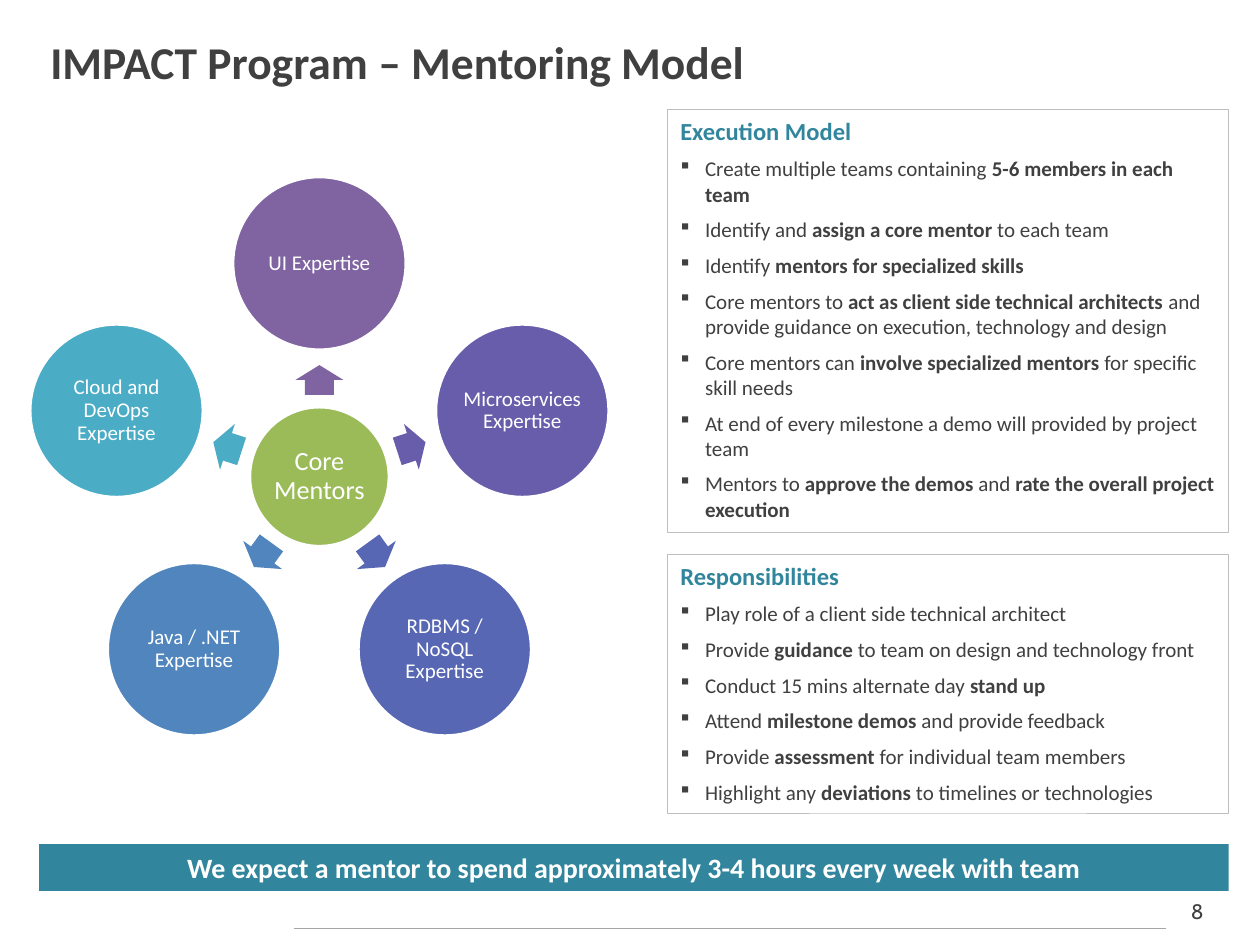
from math import cos, radians, sin

from lxml.etree import SubElement
from pptx import Presentation
from pptx.dml.color import RGBColor
from pptx.enum.shapes import MSO_CONNECTOR, MSO_SHAPE as Shape
from pptx.enum.text import MSO_ANCHOR as Anchor, MSO_AUTO_SIZE as AutoSize, PP_ALIGN as Align
from pptx.oxml.ns import qn
from pptx.util import Cm, Pt

COLORS = {
    "text": "404040", "teal": "31859C", "white": "FFFFFF", "border": "BFBFBF",
    "rule": "A6A6A6", "hub": "9BBB59",
}
SPOKES = [
    ("UI Expertise", "8064A2"),
    ("Microservices Expertise", "685DAB"),
    ("RDBMS / NoSQL Expertise", "5767B4"),
    ("Java / .NET Expertise", "5185BD"),
    ("Cloud and DevOps Expertise", "4BACC6"),
]
# Text between ** marks is bold.
PANELS = [
    ("Execution Model", 2.21, 8.51, [
        "Create multiple teams containing **5-6 members in each team**",
        "Identify and **assign a core mentor **to each team",
        "Identify **mentors for specialized skills**",
        "Core mentors to **act as client side technical architects **and provide "
        "guidance on execution, technology and design",
        "Core mentors can **involve specialized mentors **for specific skill needs",
        "At end of every milestone a demo will provided by project team",
        "Mentors to **approve the demos **and** rate the overall project execution**",
    ]),
    ("Responsibilities", 11.18, 5.21, [
        "Play role of a client side technical architect",
        "Provide **guidance** to team on design and technology front",
        "Conduct 15 mins alternate day **stand up**",
        "Attend **milestone demos **and provide feedback",
        "Provide **assessment** for individual team members",
        "Highlight any **deviations** to timelines or technologies",
    ]),
]


def style(para, size, color, bold=False, align=Align.LEFT, font="Calibri"):
    para.alignment = align
    para.font.name, para.font.size, para.font.bold = font, Pt(size), bold
    para.font.color.rgb = RGBColor.from_string(color)


def add_filled(kind, center_x, center_y, width, height, color, text="", size=12, bold=False):
    """Add a filled shape around a centre point given in centimetres."""
    shape = page.shapes.add_shape(kind, Cm(center_x - width / 2), Cm(center_y - height / 2),
                                  Cm(width), Cm(height))
    shape.shadow.inherit = False
    shape.fill.solid()
    shape.fill.fore_color.rgb = RGBColor.from_string(color)
    shape.line.fill.background()
    if text:
        frame = shape.text_frame
        frame.word_wrap = True
        frame.vertical_anchor = Anchor.MIDDLE
        frame.margin_left = frame.margin_right = frame.margin_top = frame.margin_bottom = 0
        frame.text = text
        style(frame.paragraphs[0], size, COLORS["white"], bold, Align.CENTER)
    return shape


deck = Presentation()
deck.slide_width, deck.slide_height = Cm(25.4), Cm(19.05)
page = deck.slides.add_slide(deck.slide_layouts.get_by_name("Two Content"))

# Title
title = page.shapes.title
title.left, title.top, title.width, title.height = Cm(0.76), Cm(0.43), Cm(23.77), Cm(1.6)
title.text_frame.text = "IMPACT Program – Mentoring Model"
title.text_frame.vertical_anchor = Anchor.MIDDLE
style(title.text_frame.paragraphs[0], 26, COLORS["text"], bold=True)

# Wheel of mentors
hub_x, hub_y = 6.44, 9.61
hub = add_filled(Shape.OVAL, hub_x, hub_y, 2.82, 2.82, COLORS["hub"], "Core Mentors", 15)
circles = [hub]
for index, (label, color) in enumerate(SPOKES):
    angle = index * 360 / len(SPOKES) - 90
    across, down = cos(radians(angle)), sin(radians(angle))
    arrow = add_filled(Shape.RIGHT_ARROW, hub_x + 1.95 * across, hub_y + 1.95 * down,
                       0.6, 0.97, color)
    arrow.rotation = angle % 360
    arrow.adjustments[0], arrow.adjustments[1] = 0.6, 0.5
    circles.append(add_filled(Shape.OVAL, hub_x + 4.3 * across, hub_y + 4.3 * down,
                              3.5, 3.5, color, label))
for circle in circles:
    circle.line.color.rgb = RGBColor.from_string(COLORS["white"])
    circle.line.width = Pt(2)
    circle.text_frame.paragraphs[0].line_spacing = 0.9

# Panels
for panel, (heading, top, height, items) in zip(list(page.placeholders)[1:], PANELS):
    panel.left, panel.top, panel.width, panel.height = Cm(13.46), Cm(top), Cm(11.3), Cm(height)
    panel.fill.solid()
    panel.fill.fore_color.rgb = RGBColor.from_string(COLORS["white"])
    panel.line.color.rgb = RGBColor.from_string(COLORS["border"])
    panel.line.width = Pt(0.25)
    frame = panel.text_frame
    frame.auto_size = AutoSize.NONE
    frame.vertical_anchor = Anchor.TOP
    for index, item in enumerate([heading] + items):
        para = frame.paragraphs[0] if index == 0 else frame.add_paragraph()
        para.space_before = Pt(6)
        properties = para._p.get_or_add_pPr()
        indent = Cm(0.5) if index else 0
        properties.set("marL", str(indent))
        properties.set("indent", str(-indent))
        if index == 0:
            SubElement(properties, qn("a:buNone"))
            style(para, 14, COLORS["teal"], bold=True)
        else:
            SubElement(properties, qn("a:buFont"), typeface="Wingdings")
            SubElement(properties, qn("a:buChar"), char="§")
            style(para, 12, COLORS["text"])
        for part, words in enumerate(item.split("**")):
            if words:
                span = para.add_run()
                span.text = words
                if part % 2:
                    span.font.bold = True

# Banner
add_filled(Shape.RECTANGLE, 12.78, 17.49, 23.98, 0.94, COLORS["teal"],
           "We expect a mentor to spend approximately 3-4 hours every week with team", 16, True)

# Footer
rule = page.shapes.add_connector(MSO_CONNECTOR.STRAIGHT, Cm(5.92), Cm(18.72), Cm(23.5), Cm(18.72))
rule.line.color.rgb = RGBColor.from_string(COLORS["rule"])
rule.line.width = Pt(0.75)
SubElement(rule._element.spPr, qn("a:effectLst"))
number = page.shapes.add_textbox(Cm(23.5), Cm(17.98), Cm(1.27), Cm(0.76))
number.text_frame.word_wrap = True
number.text_frame.text = "8"
style(number.text_frame.paragraphs[0], 12, COLORS["text"], align=Align.CENTER, font="Cabin")

deck.save("out.pptx")
